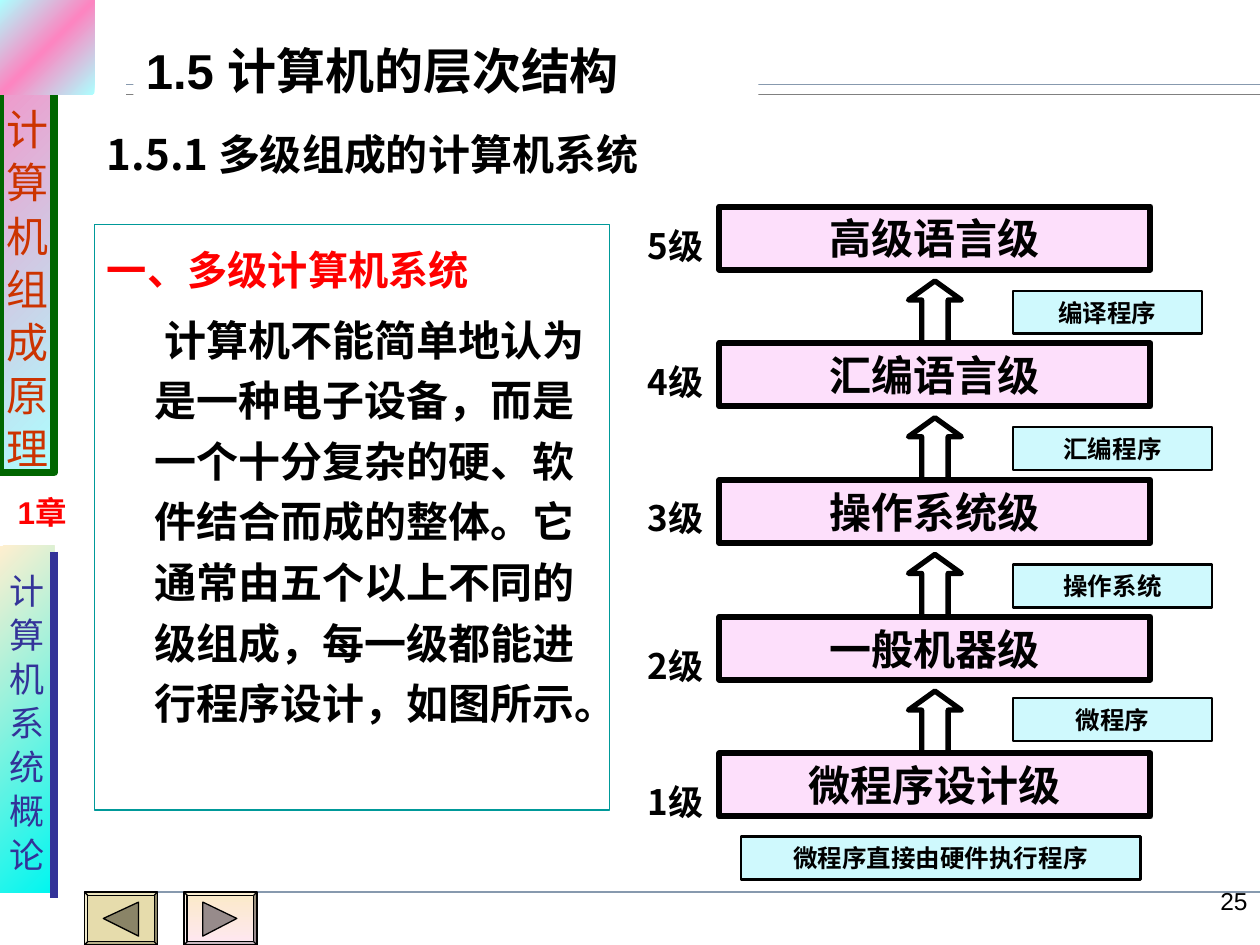
from copy import deepcopy

from lxml import etree
from pptx import Presentation
from pptx.dml.color import RGBColor
from pptx.enum.shapes import MSO_CONNECTOR, MSO_SHAPE
from pptx.enum.text import MSO_ANCHOR, PP_ALIGN
from pptx.oxml.ns import qn
from pptx.util import Inches, Pt

RECTANGLE = MSO_SHAPE.RECTANGLE
BEVEL = MSO_SHAPE.BEVEL
UP_ARROW = MSO_SHAPE.UP_ARROW
STRAIGHT = MSO_CONNECTOR.STRAIGHT
TOP, MIDDLE, BOTTOM = MSO_ANCHOR.TOP, MSO_ANCHOR.MIDDLE, MSO_ANCHOR.BOTTOM
LEFT, CENTER, RIGHT = PP_ALIGN.LEFT, PP_ALIGN.CENTER, PP_ALIGN.RIGHT

LATIN = "Arial"
CHINESE = "Noto Sans CJK SC"
COLORS = {
    "black": "000000", "white": "FFFFFF", "red": "FF0000",
    "rule": "8799AE", "gray": "808080", "green": "006600",
    "rust": "CC3300", "navy": "333399", "teal": "009999",
    "pink": "FD85C1", "ice": "ADFFFF", "cream": "FFEFCF", "aqua": "00F6F0",
    "level": "FDDFFB", "program": "CFF9FD",
    "khaki": "E6DCAC", "khaki_dark": "8A8467",
    "peach": "FBEAC7", "blush": "FEE7F2", "blush_dark": "978B8B",
}
LEVELS = ["高级语言级", "汇编语言级", "操作系统级", "一般机器级", "微程序设计级"]
LEVEL_TOP, LEVEL_PITCH = 1.64, 1.085
LABEL_TOPS = [1.73, 2.81, 3.89, 5.06, 6.14]
PROGRAMS = [
    ("编译程序", 8.04, 2.31, 1.5),
    ("汇编程序", 8.04, 3.39, 1.58),
    ("操作系统", 8.04, 4.48, 1.58),
    ("微程序", 8.04, 5.54, 1.58),
    ("微程序直接由硬件执行程序", 5.88, 6.64, 3.17),
]
BODY = ("计算机不能简单地认为是一种电子设备，而是一个十分复杂的硬、软件结合而成的整体。"
        "它通常由五个以上不同的级组成，每一级都能进行程序设计，如图所示。")


def rgb(name):
    return RGBColor.from_string(COLORS[name])


def set_gradient(shape, names, angle):
    """Spread the named colours evenly, with the angle counted clockwise."""
    shape.fill.gradient()
    shape.fill.gradient_angle = 360 - angle
    stop_list = shape._element.spPr.find(".//" + qn("a:gsLst"))
    while len(stop_list) < len(names):
        stop_list.append(deepcopy(stop_list[-1]))
    for index, (stop, name) in enumerate(zip(shape.fill.gradient_stops, names)):
        stop.position = index / (len(names) - 1)
        stop.color.rgb = rgb(name)


def set_style(shape, fill=None, line=None, width=0.75, angle=45):
    shape.shadow.inherit = False
    if isinstance(fill, list):
        set_gradient(shape, fill, angle)
    elif fill:
        shape.fill.solid()
        shape.fill.fore_color.rgb = rgb(fill)
    else:
        shape.fill.background()
    if line:
        shape.line.color.rgb = rgb(line)
        shape.line.width = Pt(width)
    else:
        shape.line.fill.background()


def add_box(slide, box, kind=RECTANGLE, **style):
    shape = slide.shapes.add_shape(kind, *map(Inches, box))
    set_style(shape, **style)
    return shape


def add_text_box(slide, box):
    return slide.shapes.add_textbox(*map(Inches, box))


def add_line(slide, start, end, color, width=0.75):
    line = slide.shapes.add_connector(STRAIGHT, *map(Inches, start + end))
    line.line.color.rgb = rgb(color)
    line.line.width = Pt(width)
    etree.SubElement(line._element.spPr, qn("a:effectLst"))


def set_frame(shape, anchor=MIDDLE, left=0.1, top=0, right=0.1, bottom=0, wrap=True):
    frame = shape.text_frame
    values = {
        "word_wrap": wrap, "vertical_anchor": anchor,
        "margin_left": Inches(left), "margin_top": Inches(top),
        "margin_right": Inches(right), "margin_bottom": Inches(bottom),
    }
    for name, value in values.items():
        setattr(frame, name, value)
    return frame


def write(paragraph, text, size, color="black", face=CHINESE, bold=True, **layout):
    for name, value in layout.items():
        setattr(paragraph, name, value)
    run = paragraph.add_run()
    run.text = text
    values = {"size": Pt(size), "bold": bold, "name": face}
    for name, value in values.items():
        setattr(run.font, name, value)
    run.font.color.rgb = rgb(color)
    if face == CHINESE:
        east_asian = etree.SubElement(run._r.get_or_add_rPr(), qn("a:ea"))
        east_asian.set("typeface", face)


def set_label(shape, text, size, alignment=CENTER, **format_values):
    frame = set_frame(shape)
    write(frame.paragraphs[0], text, size, alignment=alignment, **format_values)


def write_vertical(shape, text, size, color, gap, bottom=0):
    """Stack one character per paragraph, resting on the bottom of the shape."""
    frame = set_frame(shape, BOTTOM, left=0, right=0, bottom=bottom, wrap=False)
    for index, character in enumerate(text):
        paragraph = frame.add_paragraph() if index else frame.paragraphs[0]
        write(paragraph, character, size, color, LATIN, False, alignment=CENTER,
              line_spacing=Pt(size * 1.2), space_before=Pt(gap if index else 0))


def add_button(slide, left, triangle, fill, triangle_fill):
    button = add_box(slide, (left, 7.08, 0.58, 0.42), BEVEL,
                     fill=fill, line="black", angle=90)
    button.adjustments[0] = 0.06
    points = [(Inches(left + x), Inches(y)) for x, y in triangle]
    builder = slide.shapes.build_freeform(*points[0], scale=1.0)
    builder.add_line_segments(points[1:], close=True)
    set_style(builder.convert_to_shape(), fill=triangle_fill, line="black")


def add_frame(slide):
    add_line(slide, (1, 0.67), (10, 0.67), "rule")
    add_line(slide, (1, 0.75), (10, 0.75), "gray")
    add_line(slide, (0.67, 7.08), (10, 7.08), "rule")
    course = add_box(slide, (0, 0, 0.43, 3.75), fill=["pink", "ice"],
                     line="green", width=4.5)
    write_vertical(course, "计算机组成原理", 24, "rust", 1.5)
    chapter = add_box(slide, (0, 4.33, 0.43, 2.75), fill=["cream", "aqua"])
    write_vertical(chapter, "计算机系统概论", 20, "navy", 1.2, bottom=0.13)
    add_button(slide, 0.67, [(0.15, 7.29), (0.43, 7.16), (0.43, 7.43)],
               "khaki", "khaki_dark")
    add_button(slide, 1.46, [(0.15, 7.16), (0.42, 7.29), (0.15, 7.43)],
               ["peach", "blush"], "blush_dark")
    add_box(slide, (0, 0, 0.75, 0.75), fill=["ice", "pink", "ice"])
    set_label(add_text_box(slide, (0, 3.86, 0.67, 0.4)), "1章", 18,
              color="red", face=LATIN)
    add_line(slide, (0.43, 4.38), (0.43, 7.13), "navy", 4.5)
    number = set_frame(add_text_box(slide, (9, 6.98, 1, 0.52)), TOP, top=0.05)
    write(number.paragraphs[0], "25", 14, face=LATIN, bold=False, alignment=RIGHT)


def add_levels(slide):
    tops = [LEVEL_TOP + LEVEL_PITCH * index for index in range(len(LEVELS))]
    for top in tops[:-1]:
        arrow = add_box(slide, (7.21, top + 0.59, 0.42, 0.6), UP_ARROW,
                        line="black", width=3)
        arrow.adjustments[1] = 0.36
    for index, (name, top, label_top) in enumerate(zip(LEVELS, tops, LABEL_TOPS)):
        level = add_box(slide, (5.71, top, 3.42, 0.5), fill="level",
                        line="black", width=3.5)
        set_label(level, name, 24)
        set_label(add_text_box(slide, (5.04, label_top, 0.83, 0.44)),
                  f"{len(LEVELS) - index}级", 20, LEFT)
    for name, left, top, width in PROGRAMS:
        program = add_box(slide, (left, top, width, 0.34), fill="program",
                          line="black", width=1.5)
        set_label(program, name, 14)


def add_headings(slide):
    set_label(add_box(slide, (1.06, 0.28, 4.96, 0.55), fill="white"),
              "1.5 计算机的层次结构", 28, LEFT, face=LATIN)
    set_label(add_box(slide, (0.75, 0.84, 5, 0.76), fill="white"),
              "1.5.1 多级组成的计算机系统", 24, LEFT)


def add_body(slide):
    frame = set_frame(add_box(slide, (0.75, 1.78, 4.09, 4.65), line="teal"),
                      TOP, top=0.09)
    write(frame.paragraphs[0], "一、多级计算机系统", 23, "red",
          alignment=LEFT, line_spacing=Pt(33.1))
    paragraph = frame.add_paragraph()
    properties = paragraph._p.get_or_add_pPr()
    properties.set("marL", str(Inches(0.38)))
    properties.set("indent", str(Inches(0.08)))
    write(paragraph, BODY, 24, alignment=LEFT,
          line_spacing=Pt(34.6), space_before=Pt(6))


def main():
    presentation = Presentation()
    presentation.slide_width = Inches(10)
    presentation.slide_height = Inches(7.5)
    slide = presentation.slides.add_slide(presentation.slide_layouts[6])
    add_frame(slide)
    add_levels(slide)
    add_headings(slide)
    add_body(slide)
    presentation.save("out.pptx")


if __name__ == "__main__":
    main()
